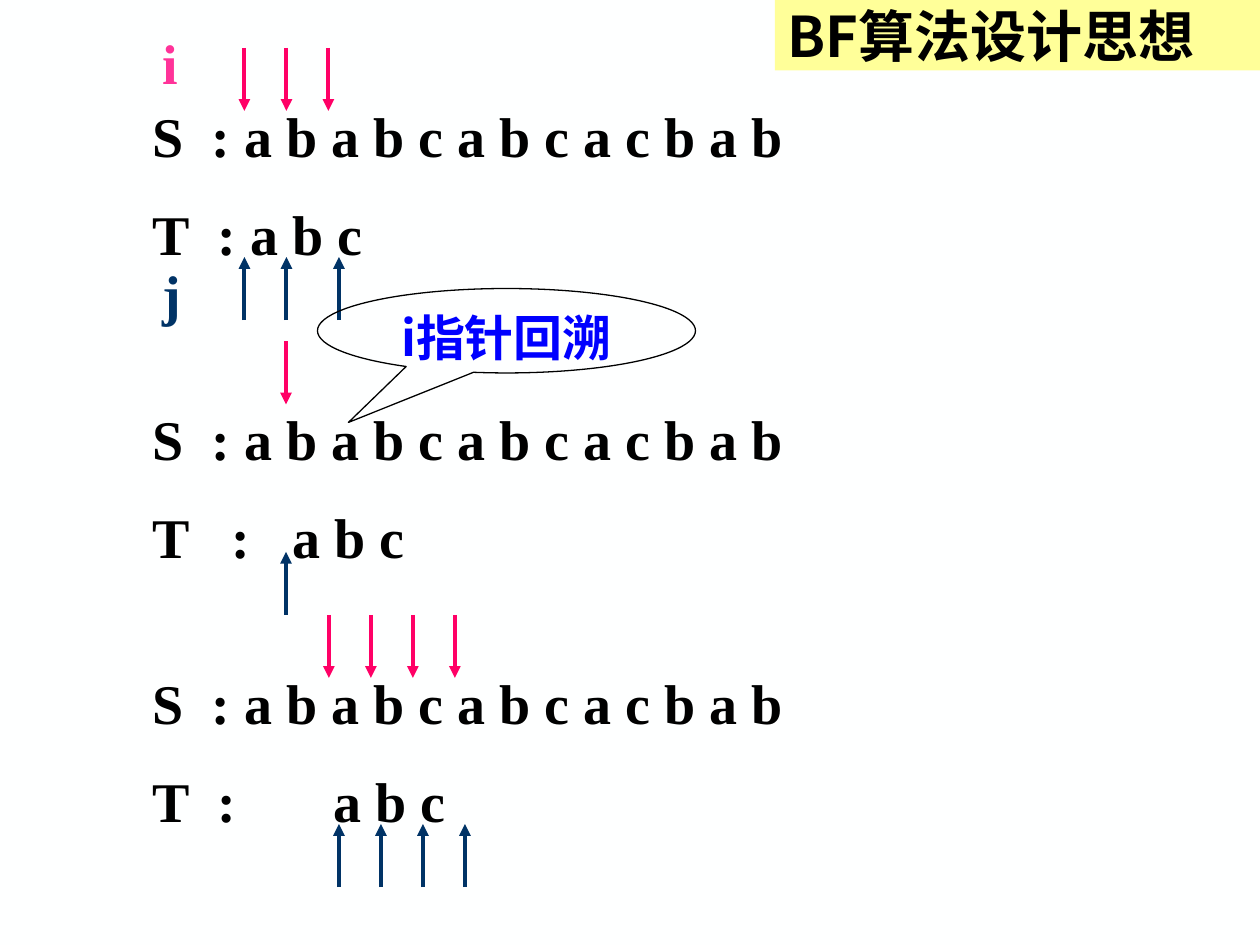
import dataclasses

import lxml.etree
import pptx
import pptx.dml.color
import pptx.enum.shapes
import pptx.enum.text
import pptx.oxml.ns
import pptx.util

Inches = pptx.util.Inches
Pt = pptx.util.Pt
qn = pptx.oxml.ns.qn
Shape = pptx.enum.shapes.MSO_SHAPE
Align = pptx.enum.text.PP_ALIGN
Anchor = pptx.enum.text.MSO_ANCHOR


@dataclasses.dataclass(frozen=True)
class Theme:
    background: str = "FEFFFF"
    ink: str = "000000"
    source_pointer: str = "FF0066"
    source_label: str = "FF3399"
    pattern_pointer: str = "003366"
    note: str = "0000FF"
    banner: str = "FFFF99"
    latin: str = "Times New Roman"
    chinese: str = "Noto Sans CJK SC"
    text_size: float = 32
    note_size: float = 28
    row_gap: float = 17.5
    pointer_width: float = 2.25
    outline_width: float = 0.75


THEME = Theme()
SOURCE = "S\t: a b a b c a b c a c b a b"
POINTER_LENGTH = 0.5
POINTER_STEP = 1 / 3


def rgb(value):
    return pptx.dml.color.RGBColor.from_string(value)


def set_tabs(para, stops):
    tabs = lxml.etree.SubElement(para._p.get_or_add_pPr(), qn("a:tabLst"))
    for stop in stops:
        lxml.etree.SubElement(tabs, qn("a:tab"), pos=str(Inches(stop)), algn="l")


def write_text(frame, rows, size=THEME.text_size, color=THEME.ink, font=THEME.latin,
               align=Align.LEFT, anchor=Anchor.TOP, top=0.05, wrap=True):
    frame.word_wrap = wrap
    frame.vertical_anchor = anchor
    frame.margin_top = Inches(top)
    for index, (text, stops) in enumerate(rows):
        para = frame.add_paragraph() if index else frame.paragraphs[0]
        para.alignment = align
        if index:
            para.space_before = Pt(THEME.row_gap)
        if stops:
            set_tabs(para, stops)
        span = para.add_run()
        span.text = text
        span.font.size = Pt(size)
        span.font.bold = True
        span.font.name = font
        span.font.color.rgb = rgb(color)
        lxml.etree.SubElement(span.font._element, qn("a:ea"), typeface=font)


def add_text(page, left, top, width, height, rows, **style):
    box = page.shapes.add_textbox(Inches(left), Inches(top), Inches(width), Inches(height))
    write_text(box.text_frame, rows, top=0.1, **style)


def add_strings(page, top, width, pattern, stops):
    add_text(page, 1.11, top, width, 1.43, [(SOURCE, [0.47]), (pattern, stops)])


def add_pointer(page, x, start, end, color):
    arrow = page.shapes.add_connector(
        pptx.enum.shapes.MSO_CONNECTOR.STRAIGHT,
        Inches(x), Inches(start), Inches(x), Inches(end))
    arrow.line.color.rgb = rgb(color)
    arrow.line.width = Pt(THEME.pointer_width)
    lxml.etree.SubElement(arrow.line._get_or_add_ln(), qn("a:tailEnd"), type="triangle")
    lxml.etree.SubElement(arrow._element.spPr, qn("a:effectLst"))


def add_source_pointers(page, left, top, count):
    for index in range(count):
        add_pointer(page, left + index * POINTER_STEP, top, top + POINTER_LENGTH,
                    THEME.source_pointer)


def add_pattern_pointers(page, left, top, count):
    for index in range(count):
        add_pointer(page, left + index * POINTER_STEP, top + POINTER_LENGTH, top,
                    THEME.pattern_pointer)


def add_shape(page, kind, left, top, width, height, fill=None, line=None):
    shape = page.shapes.add_shape(
        kind, Inches(left), Inches(top), Inches(width), Inches(height))
    shape.shadow.inherit = False
    if fill:
        shape.fill.solid()
        shape.fill.fore_color.rgb = rgb(fill)
    else:
        shape.fill.background()
    if line:
        shape.line.color.rgb = rgb(line)
        shape.line.width = Pt(THEME.outline_width)
    else:
        shape.line.fill.background()
    return shape


def add_callout(page):
    callout = add_shape(page, Shape.OVAL_CALLOUT, 2.52, 2.29, 3, 0.67, line=THEME.ink)
    callout.adjustments[0] = -0.418
    callout.adjustments[1] = 1.086
    write_text(callout.text_frame, [("i指针回溯", None)], size=THEME.note_size,
               color=THEME.note, font=THEME.chinese, align=Align.CENTER)


def add_banner(page):
    banner = add_shape(page, Shape.RECTANGLE, 6.15, 0, 3.85, 0.56, fill=THEME.banner)
    write_text(banner.text_frame, [("BF算法设计思想", None)], font=THEME.chinese,
               anchor=Anchor.MIDDLE)


def main():
    deck = pptx.Presentation()
    deck.slide_width = Inches(10)
    deck.slide_height = Inches(7.5)
    page = deck.slides.add_slide(deck.slide_layouts[6])
    page.background.fill.solid()
    page.background.fill.fore_color.rgb = rgb(THEME.background)

    add_strings(page, 0.71, 7.92, "T\t: a b c", [0.52])
    add_text(page, 1.19, 0.13, 0.92, 0.63, [("i", None)], color=THEME.source_label)
    add_text(page, 1.19, 1.96, 0.5, 0.63, [("j", None)], color=THEME.pattern_pointer)
    add_source_pointers(page, 1.94, 0.38, 3)
    add_pattern_pointers(page, 1.94, 2.04, 2)
    add_pattern_pointers(page, 2.69, 2.04, 1)

    add_strings(page, 3.11, 8.42, "T\t:\ta b c", [0.63, 1.11])
    add_source_pointers(page, 2.27, 2.71, 1)
    add_pattern_pointers(page, 2.27, 4.38, 1)

    add_strings(page, 5.21, 5.75, "T\t:\ta b c", [0.52, 1.44])
    add_source_pointers(page, 2.61, 4.88, 4)
    add_pattern_pointers(page, 2.69, 6.54, 4)

    add_callout(page)
    add_banner(page)
    deck.save("out.pptx")


if __name__ == "__main__":
    main()
